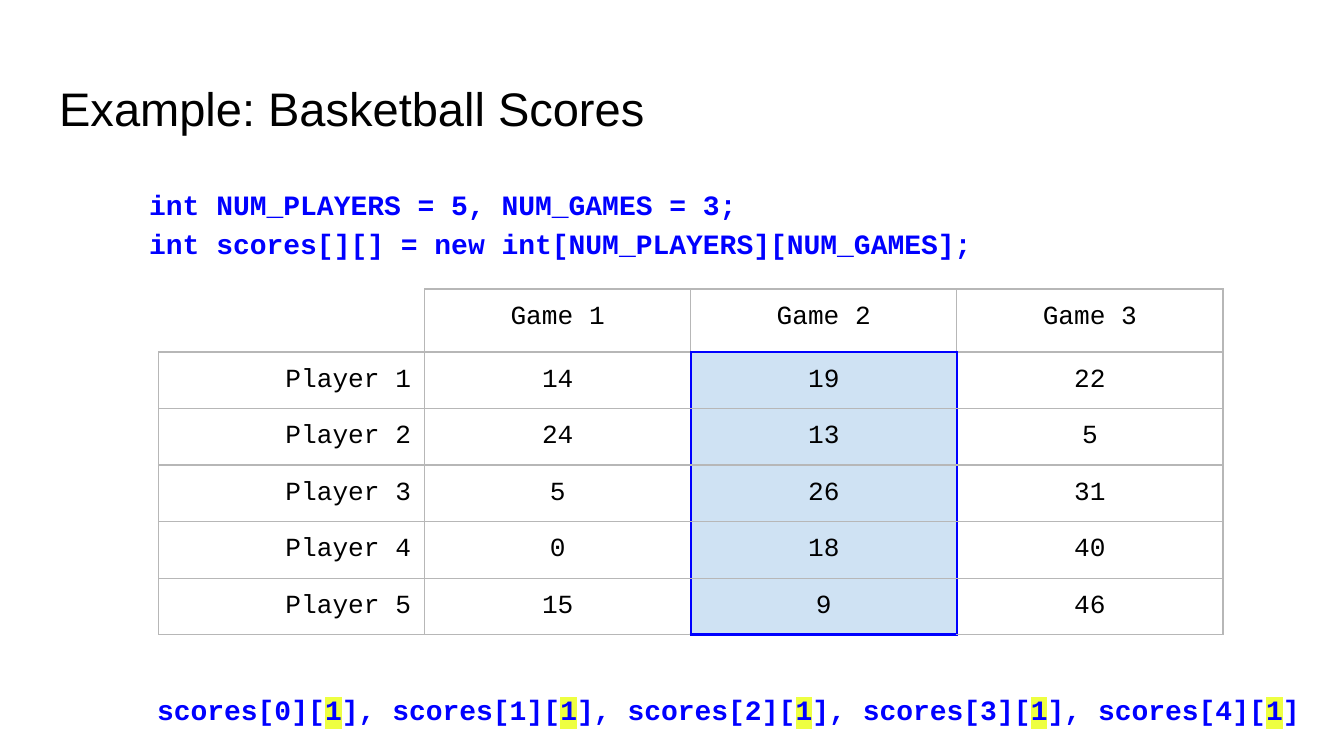
from dataclasses import dataclass

from lxml.etree import SubElement
from pptx import Presentation
from pptx.dml.color import RGBColor as Color
from pptx.enum.text import MSO_ANCHOR as Anchor, MSO_AUTO_SIZE as AutoSize, PP_ALIGN as Align
from pptx.oxml import parse_xml
from pptx.oxml.ns import nsdecls, qn
from pptx.util import Inches, Pt


@dataclass(frozen=True)
class Theme:
    """Colours, fonts and type sizes of the slide."""
    text: str = "000000"
    code: str = "0000FF"
    paper: str = "FFFFFF"
    grid: str = "B7B7B7"
    column: str = "CFE2F3"
    marker: str = "EEFF41"
    sans: str = "Arial"
    mono: str = "Courier New"
    title_size: float = 25.2
    code_size: float = 15
    table_size: float = 14


THEME = Theme()
GAMES = ["Game 1", "Game 2", "Game 3"]
SCORES = [(14, 19, 22), (24, 13, 5), (5, 26, 31), (0, 18, 40), (15, 9, 46)]
CHOSEN = 1
DECLARATION = ("int NUM_PLAYERS = 5, NUM_GAMES = 3;\v"
               "int scores[][] = new int[NUM_PLAYERS][NUM_GAMES];")


def style(font, name, size, color, bold=False):
    """Set the look of a font."""
    font.name, font.size, font.bold = name, Pt(size), bold
    font.color.rgb = Color.from_string(color)


def place(shape, box):
    """Move a text placeholder to a box and give it even margins."""
    shape.left, shape.top, shape.width, shape.height = map(Inches, box)
    frame = shape.text_frame
    frame.margin_left = frame.margin_right = Inches(0.1)
    frame.margin_top = frame.margin_bottom = Inches(0.1)
    frame.word_wrap, frame.auto_size = True, AutoSize.NONE
    return frame


def add_title(slide, box):
    """Fill the title placeholder."""
    frame = place(slide.shapes.title, box)
    frame.vertical_anchor = Anchor.TOP
    paragraph = frame.paragraphs[0]
    paragraph.text, paragraph.alignment = "Example: Basketball Scores", Align.LEFT
    style(paragraph.font, THEME.sans, THEME.title_size, THEME.text)


def highlight(run):
    """Put the marker colour behind a run."""
    mark = SubElement(run.font._element, qn("a:highlight"))
    SubElement(mark, qn("a:srgbClr")).set("val", THEME.marker)


def add_code(slide, box):
    """Write the declaration at the top and the chosen elements at the bottom."""
    frame = place(slide.placeholders[1], box)
    frame.vertical_anchor = Anchor.TOP
    declaration, elements = frame.paragraphs[0], frame.add_paragraph()
    for paragraph, align, gap in ((declaration, Align.LEFT, 0), (elements, Align.CENTER, 229)):
        paragraph.alignment, paragraph.line_spacing = align, 1.15
        paragraph.space_before = Pt(gap)
        properties = paragraph._p.get_or_add_pPr()
        properties.set("marL", str(Inches(0.5)))
        properties.set("indent", "0")
        SubElement(properties, qn("a:buNone"))
        style(paragraph.font, THEME.mono, THEME.code_size, THEME.code, True)
    declaration.text = DECLARATION
    for player in range(len(SCORES)):
        separator = "], " if player else ""
        elements.add_run().text = f"{separator}scores[{player}]["
        index = elements.add_run()
        index.text = str(CHOSEN)
        highlight(index)
    elements.add_run().text = "]"


def set_borders(cell, borders):
    """Draw the left, right, top and bottom borders, each a colour and a width."""
    properties = cell._tc.get_or_add_tcPr()
    for position, (side, (color, width)) in enumerate(zip("LRTB", borders)):
        properties.insert(position, parse_xml(
            f'<a:ln{side} {nsdecls("a")} w="{Pt(width)}"><a:solidFill>'
            f'<a:srgbClr val="{color}"/></a:solidFill></a:ln{side}>'))


def cell_borders(row, column):
    """Return the borders of a cell: the chosen column is framed, the corner is open."""
    grid, frame, none = (THEME.grid, 0.75), (THEME.code, 1.5), (THEME.paper, 0.75)
    if row == column == 0:
        return none, grid, none, grid
    chosen, last = CHOSEN + 1, len(SCORES)
    in_frame, in_column = row > 0, column == chosen
    return (frame if in_frame and column in (chosen, chosen + 1) else grid,
            frame if in_frame and column in (chosen - 1, chosen) else grid,
            frame if in_column and row == 1 else grid,
            frame if in_column and row in (0, last) else grid)


def add_scores(slide, box):
    """Add the table of scores by player and game."""
    rows = [["", *GAMES]]
    rows += [[f"Player {number}", *scores] for number, scores in enumerate(SCORES, 1)]
    table = slide.shapes.add_table(len(rows), len(rows[0]), *map(Inches, box)).table
    table.first_row = table.horz_banding = False
    for row, values in enumerate(rows):
        table.rows[row].height = Inches(0.42 if row else 0.47)
        for column, value in enumerate(values):
            cell = table.cell(row, column)
            cell.margin_left = cell.margin_right = Inches(0.1)
            cell.margin_top = cell.margin_bottom = Inches(0.1)
            paragraph = cell.text_frame.paragraphs[0]
            paragraph.text = str(value)
            paragraph.alignment = Align.CENTER if column else Align.RIGHT
            style(paragraph.font, THEME.mono, THEME.table_size, THEME.text)
            if row and column == CHOSEN + 1:
                cell.fill.solid()
                cell.fill.fore_color.rgb = Color.from_string(THEME.column)
            else:
                cell.fill.background()
            set_borders(cell, cell_borders(row, column))


def main():
    """Build and save the slide."""
    presentation = Presentation()
    presentation.slide_width = Inches(10)
    presentation.slide_height = Inches(10 * 9 / 16)
    slide = presentation.slides.add_slide(presentation.slide_layouts[1])
    add_title(slide, (0.34, 0.49, 9.32, 0.63))
    add_code(slide, (0.51, 1.26, 9.32, 3.74))
    add_scores(slide, (1.18, 2.15, 7.92, 2.57))
    presentation.save("out.pptx")


main()
